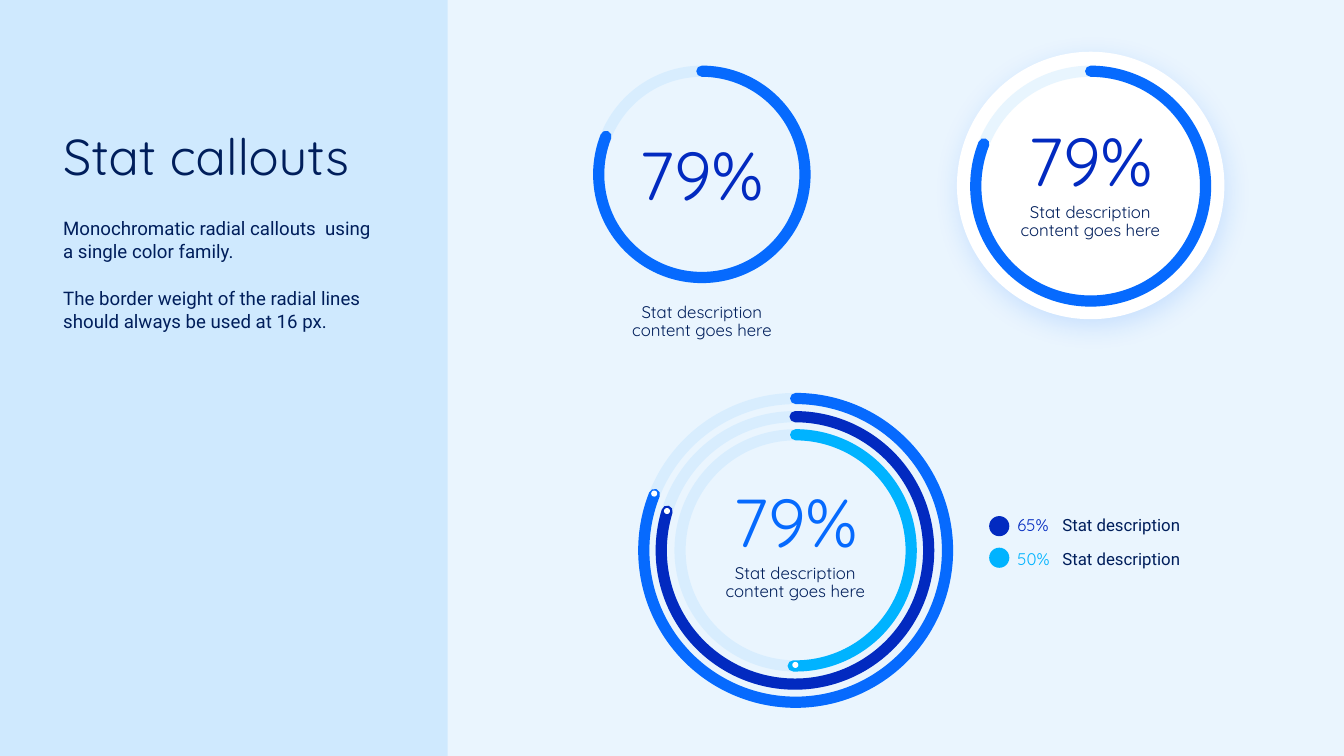
"""Build a slide of radial stat callouts."""
from lxml import etree
from pptx import Presentation
from pptx import util as u
from pptx.dml.color import RGBColor
from pptx.enum import shapes, text
from pptx.oxml import ns

HUES = {
    "side": "CFE9FE", "panel": "EAF5FE", "white": "FFFFFF", "track": "90D0FE",
    "blue": "066AFE", "deep": "022AC0", "sky": "00B3FF", "navy": "001E5B",
}
KIND = shapes.MSO_SHAPE
LEFT, MID = text.PP_ALIGN.LEFT, text.PP_ALIGN.CENTER

deck = Presentation()
deck.slide_width, deck.slide_height = u.Inches(20), u.Inches(11.25)
slide = deck.slides.add_slide(deck.slide_layouts[6])
slide.background.fill.solid()
slide.background.fill.fore_color.rgb = RGBColor.from_string(HUES["side"])


def draw(kind, box, fill=None, line=None):
    shape = slide.shapes.add_shape(kind, *map(u.Inches, box))
    shape.shadow.inherit = False
    if fill:
        shape.fill.solid()
        shape.fill.fore_color.rgb = RGBColor.from_string(HUES[fill])
    else:
        shape.fill.background()
    if line:
        shape.line.color.rgb = RGBColor.from_string(HUES[line])
        shape.line.width = u.Pt(12)
    else:
        shape.line.fill.background()
    return shape


def write(box, words, size, font, hue, align=LEFT, anchor="TOP", lead=0.9):
    label = slide.shapes.add_textbox(*map(u.Inches, box))
    frame = label.text_frame
    frame.word_wrap = True
    frame.margin_left = frame.margin_right = 0
    frame.margin_top = frame.margin_bottom = 0
    frame.vertical_anchor = text.MSO_ANCHOR[anchor]
    frame.text = words
    for part in frame.paragraphs:
        part.alignment = align
        part.line_spacing = lead
        for run in part.runs:
            run.font.size = u.Pt(size)
            run.font.name = font
            run.font.color.rgb = RGBColor.from_string(HUES[hue])
    return frame


draw(KIND.RECTANGLE, (6.66, 0, 13.34, 11.25), "panel")

write((0.94, 1.96, 4.69, 0.82), "Stat callouts", 54, "Quicksand", "navy")
body = write(
    (0.94, 3.22, 4.69, 1.72),
    "Monochromatic radial callouts  using a single color family.\n"
    "The border weight of the radial lines should always be used at 16 px.",
    20, "Roboto", "navy", lead=1.03)
body.paragraphs[1].space_before = u.Pt(25)

disc = draw(KIND.OVAL, (14.24, 0.77, 3.98, 3.98), "white")
glow = etree.SubElement(
    disc._element.spPr.find(ns.qn("a:effectLst")), ns.qn("a:outerShdw"),
    blurRad=str(u.Pt(28.1)), dist=str(u.Pt(7.5)), dir=str(75 * 60000),
    algn="ctr", rotWithShape="0")
tint = etree.SubElement(glow, ns.qn("a:srgbClr"), val=HUES["blue"])
etree.SubElement(tint, ns.qn("a:alpha"), val="15000")

rings = [
    (9.58, 5.93, 4.52, "blue", 270, 201.61, 0),
    (9.84, 6.2, 3.98, "deep", 30.05, 317.07, 240),
    (10.12, 6.47, 3.44, "sky", 270, 91.21, 0),
    (8.91, 1.06, 3.07, "blue", 270, 201.61, 0),
    (14.52, 1.06, 3.42, "blue", 270, 201.61, 0),
]
for x, y, size, hue, start, end, turn in rings:
    box = (x, y, size, size)
    track = draw(KIND.OVAL, box, line="track")
    tint = track._element.spPr.find(".//" + ns.qn("a:srgbClr"))
    etree.SubElement(tint, ns.qn("a:alpha"), val="20000")
    arc = draw(KIND.ARC, box, line=hue)
    arc.adjustments[0], arc.adjustments[1] = start * 0.6, end * 0.6
    arc.rotation = turn
    arc._element.spPr.find(ns.qn("a:ln")).set("cap", "rnd")

stats = [
    (9.24, 2.11, "deep", 9.12, 4.52),
    (15.03, 1.91, "deep", 14.9, 3.03),
    (10.64, 7.28, "blue", 10.51, 8.4),
]
for x, y, hue, left, top in stats:
    write((x, y, 2.4, 1.1), "79%", 72.5, "Quicksand", hue, MID)
    write((left, top, 2.65, 0.55), "Stat description content goes here",
          18, "Quicksand", "navy", MID)

for x, y in [(9.69, 7.3), (9.88, 7.56), (11.79, 9.85)]:
    draw(KIND.OVAL, (x, y, 0.09, 0.09), "white")

for dot, y, share, hue in [(7.68, 7.65, "65%", "deep"), (8.15, 8.15, "50%", "sky")]:
    draw(KIND.OVAL, (14.72, dot, 0.3, 0.3), hue)
    write((15.14, y, 0.67, 0.36), share, 18, "Quicksand", hue, anchor="MIDDLE")
    write((15.81, y, 3.07, 0.36), "Stat description", 18, "Roboto", "navy",
          anchor="MIDDLE")

deck.save("out.pptx")
